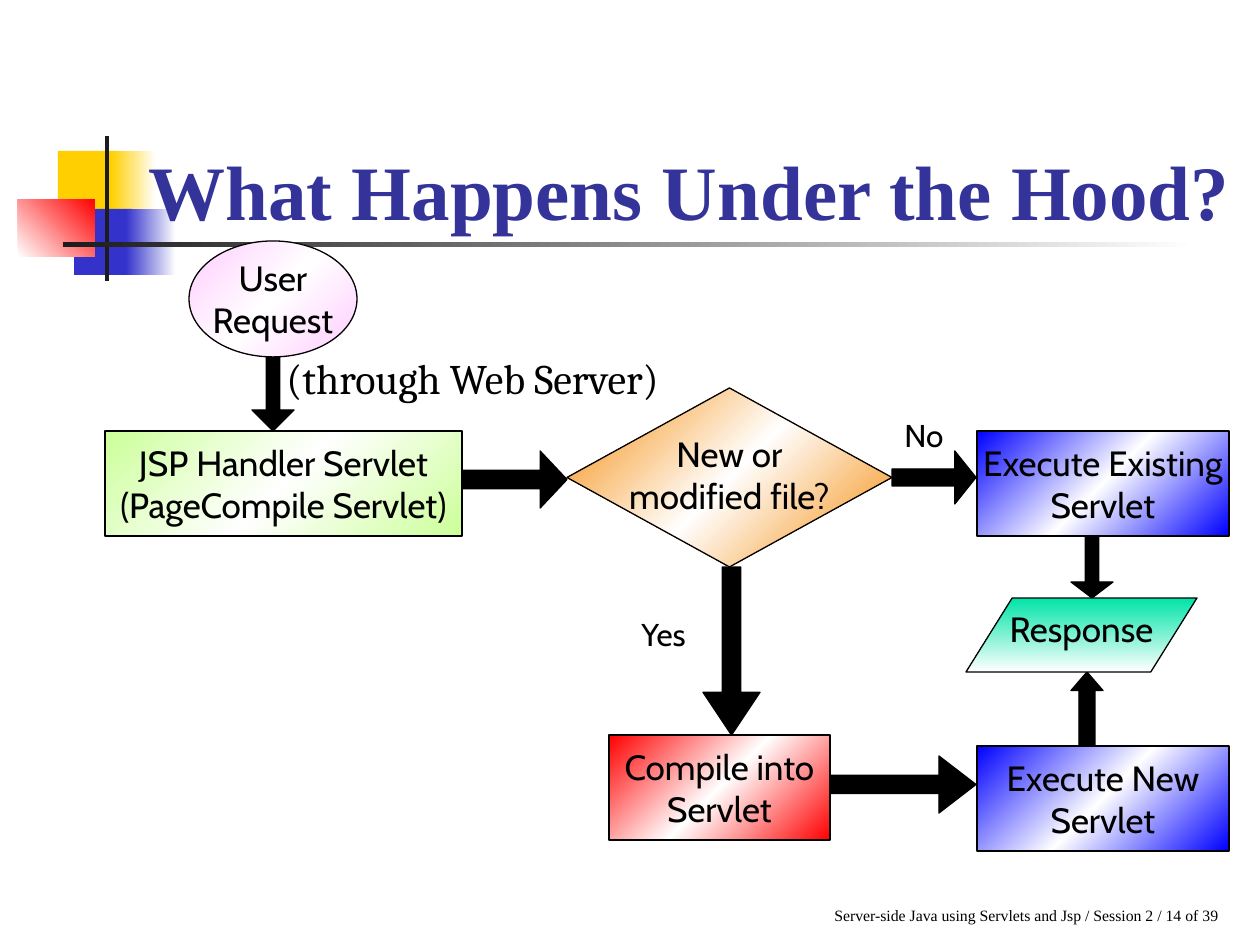
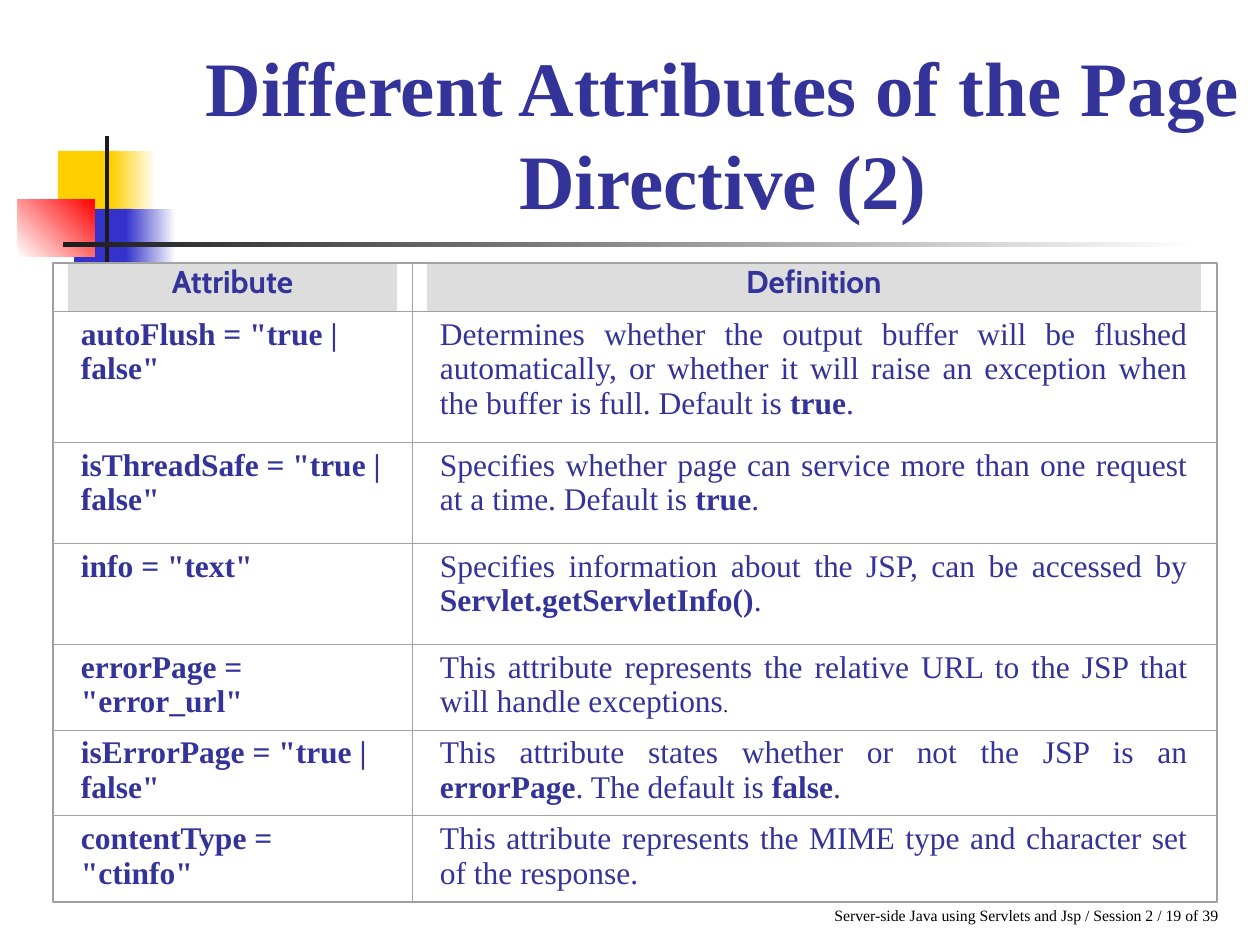
import dataclasses

import pptx
import pptx.dml.color
import pptx.enum.shapes
import pptx.enum.text
import pptx.oxml.ns
import pptx.util
from lxml import etree

SHAPE = pptx.enum.shapes.MSO_SHAPE
ALIGN = pptx.enum.text.PP_ALIGN
ANCHOR = pptx.enum.text.MSO_ANCHOR
PX_PER_INCH = 126
qn = pptx.oxml.ns.qn


@dataclasses.dataclass(frozen=True)
class TextStyle:
    font: str
    size: int
    color: str
    bold: bool = False


@dataclasses.dataclass(frozen=True)
class Theme:
    white: str = "FFFFFF"
    black: str = "000000"
    rule: str = "1C1C1C"
    yellow: str = "FFCF01"
    indigo: str = "3333CC"
    red: str = "FF0000"
    blue: str = "0000FF"
    pink: str = "FFCCFF"
    lime: str = "CCFF99"
    orange: str = "F58803"
    mint: str = "00E4A8"
    header_band: str = "DDDDDD"
    grid: str = "A0A0A0"
    outline_width: float = 0.75
    grid_width: float = 0.5
    frame_width: float = 1
    title: TextStyle = TextStyle("Times New Roman", 44, "333399", True)
    footer: TextStyle = TextStyle("Times New Roman", 9, "000000")
    node: TextStyle = TextStyle("Cabin", 20, "000000")
    branch: TextStyle = TextStyle("Cabin", 18, "000000")
    note: TextStyle = TextStyle("Cambria", 24, "000000")
    header: TextStyle = TextStyle("Cabin", 18, "333399", True)
    body: TextStyle = TextStyle("Times New Roman", 18, "333399")
    strong: TextStyle = TextStyle("Times New Roman", 18, "333399", True)
    small_stop: TextStyle = TextStyle("Times New Roman", 11, "000000")


THEME = Theme()


def px(length):
    return pptx.util.Emu(round(length * 914400 / PX_PER_INCH))


def rgb(color):
    return pptx.dml.color.RGBColor.from_string(color)


def add_runs(paragraph, runs, align=ALIGN.LEFT):
    paragraph.alignment = align
    for text, style in runs:
        run = paragraph.add_run()
        run.text = text
        run.font.name = style.font
        run.font.size = pptx.util.Pt(style.size)
        run.font.bold = style.bold
        run.font.color.rgb = rgb(style.color)


def fill_gradient(shape, colors, angle):
    """Spread the colours evenly along a clockwise angle in degrees."""
    shape.fill.gradient()
    shape.fill.gradient_angle = (360 - angle) % 360
    stops = shape.element.spPr.find(".//" + qn("a:gsLst"))
    for stop in list(stops):
        stops.remove(stop)
    for index, color in enumerate(colors):
        position = index * 100000 // (len(colors) - 1)
        stop = etree.SubElement(stops, qn("a:gs"), pos=str(position))
        etree.SubElement(stop, qn("a:srgbClr"), val=color)


def add_block(slide, kind, box, colors, angle=0, line=None, width=THEME.outline_width):
    """Add a preset shape; one colour fills it plainly, several as a gradient."""
    shape = slide.shapes.add_shape(kind, *map(px, box))
    shape.shadow.inherit = False
    if len(colors) == 1:
        shape.fill.solid()
        shape.fill.fore_color.rgb = rgb(colors[0])
    else:
        fill_gradient(shape, colors, angle)
    if line:
        shape.line.color.rgb = rgb(line)
        shape.line.width = pptx.util.Pt(width)
    else:
        shape.line.fill.background()
    return shape


def add_node(slide, kind, box, colors, lines, angle=45, top=6, bottom=6):
    """Add a flowchart step with centred lines of text."""
    shape = add_block(slide, kind, box, colors, angle, THEME.black)
    frame = shape.text_frame
    frame.word_wrap = False
    frame.vertical_anchor = ANCHOR.MIDDLE
    frame.margin_top, frame.margin_bottom = px(top), px(bottom)
    for index, line in enumerate(lines):
        paragraph = frame.add_paragraph() if index else frame.paragraphs[0]
        add_runs(paragraph, [(line, THEME.node)], ALIGN.CENTER)


def add_arrow(slide, kind, box, shaft, head):
    arrow = add_block(slide, kind, box, [THEME.black], line=THEME.black)
    arrow.adjustments[0], arrow.adjustments[1] = shaft, head


def add_label(slide, box, text, style):
    frame = slide.shapes.add_textbox(*map(px, box)).text_frame
    frame.word_wrap = True
    add_runs(frame.paragraphs[0], [(text, style)])


def add_titled_slide(presentation, title, title_box, align, number):
    """Add a slide with the corner ornament, the title and the footer."""
    slide = presentation.slides.add_slide(presentation.slide_layouts[5])
    ornament = [
        ((58, 151, 60, 66), [THEME.yellow], 0),
        ((111, 151, 45, 66), [THEME.yellow, THEME.white], 0),
        ((74, 209, 58, 66), [THEME.indigo], 0),
        ((126, 209, 50, 66), [THEME.indigo, THEME.white], 0),
        ((18, 199, 77, 58), [THEME.white, THEME.red], 315),
        ((105, 136, 4, 145), [THEME.rule], 0),
        ((63, 242, 1134, 5), [THEME.rule, THEME.white], 0),
    ]
    for box, colors, angle in ornament:
        add_block(slide, SHAPE.RECTANGLE, box, colors, angle)
    add_label(slide, (822, 900, 430, 32),
              f"Server-side Java using Servlets and Jsp / Session 2 / {number} of 39",
              THEME.footer)

    placeholder = slide.shapes.title
    placeholder.left, placeholder.top, placeholder.width, placeholder.height = map(px, title_box)
    frame = placeholder.text_frame
    frame.word_wrap = True
    frame.auto_size = pptx.enum.text.MSO_AUTO_SIZE.NONE
    frame.vertical_anchor = ANCHOR.BOTTOM
    add_runs(frame.paragraphs[0], [(title, THEME.title)], align)
    # Bring the title in front of the ornament.
    slide.shapes.element.append(placeholder.element)
    return slide


def build_flow_slide(presentation):
    slide = add_titled_slide(presentation, "What Happens Under the Hood?",
                             (136, 84, 1124, 158), ALIGN.LEFT, 14)

    def sheen(color):
        return [color, THEME.white, color]

    arrows = [
        (SHAPE.DOWN_ARROW, (252, 346, 42, 85), 0.32, 0.5),
        (SHAPE.RIGHT_ARROW, (462, 451, 105, 57), 0.32, 0.47),
        (SHAPE.RIGHT_ARROW, (892, 451, 84, 53), 0.32, 0.4),
        (SHAPE.DOWN_ARROW, (703, 567, 57, 168), 0.32, 0.75),
        (SHAPE.RIGHT_ARROW, (829, 756, 147, 57), 0.32, 0.65),
        (SHAPE.DOWN_ARROW, (1071, 535, 42, 63), 0.32, 0.38),
        (SHAPE.UP_ARROW, (1071, 672, 32, 74), 0.5, 0.58),
    ]
    for arrow in arrows:
        add_arrow(slide, *arrow)

    nodes = [
        (SHAPE.OVAL, (189, 241, 168, 116), THEME.pink, ["User", "Request"]),
        (SHAPE.RECTANGLE, (105, 431, 357, 105), THEME.lime,
         ["JSP Handler Servlet", "(PageCompile Servlet)"]),
        (SHAPE.RECTANGLE, (609, 735, 221, 105), THEME.red, ["Compile into", "Servlet"]),
        (SHAPE.RECTANGLE, (977, 431, 252, 105), THEME.blue, ["Execute Existing", "Servlet"]),
        (SHAPE.RECTANGLE, (977, 746, 252, 105), THEME.blue, ["Execute New", "Servlet"]),
    ]
    for kind, box, color, lines in nodes:
        add_node(slide, kind, box, sheen(color), lines)
    add_node(slide, SHAPE.DIAMOND, (567, 388, 325, 179), sheen(THEME.orange),
             ["New or", "modified file?"], top=0)
    add_node(slide, SHAPE.FLOWCHART_DATA, (966, 598, 231, 74), [THEME.mint, THEME.white],
             ["Response"], angle=90, top=0, bottom=14)

    add_label(slide, (274, 346, 462, 63), "(through Web Server)", THEME.note)
    add_label(slide, (629, 609, 84, 50), "Yes", THEME.branch)
    add_label(slide, (892, 410, 76, 50), "No", THEME.branch)


def set_borders(cell):
    properties = cell._tc.get_or_add_tcPr()
    for side in ("a:lnL", "a:lnR", "a:lnT", "a:lnB"):
        line = etree.SubElement(properties, qn(side), w=str(pptx.util.Pt(THEME.grid_width)))
        fill = etree.SubElement(line, qn("a:solidFill"))
        etree.SubElement(fill, qn("a:srgbClr"), val=THEME.grid)


def fill_cell(cell, runs, align, margins):
    """Margins are side and top, in px."""
    set_borders(cell)
    cell.fill.background()
    side, top = margins
    cell.margin_left = cell.margin_right = px(side)
    cell.margin_top, cell.margin_bottom = px(top), 0
    cell.vertical_anchor = ANCHOR.TOP
    add_runs(cell.text_frame.paragraphs[0], runs, align)


def add_attribute_table(slide, left, top, column_widths, row_heights, header, rows):
    band_inset = 15
    total_width, total_height = sum(column_widths), sum(row_heights)
    add_block(slide, SHAPE.RECTANGLE, (left, top, total_width + 1, total_height),
              [THEME.white], line=THEME.grid, width=THEME.frame_width)
    for index, width in enumerate(column_widths):
        band_left = left + sum(column_widths[:index]) + band_inset
        add_block(slide, SHAPE.RECTANGLE,
                  (band_left, top, width - 2 * band_inset, row_heights[0]), [THEME.header_band])

    table = slide.shapes.add_table(
        len(row_heights), len(column_widths),
        *map(px, (left, top, total_width, total_height))).table
    table.first_row = table.horz_banding = False
    for column, width in zip(table.columns, column_widths):
        column.width = px(width)
    for row, height in zip(table.rows, row_heights):
        row.height = px(height)

    for index, text in enumerate(header):
        fill_cell(table.cell(0, index), [(text, THEME.header)], ALIGN.CENTER, (band_inset, 0))
    for index, (attribute, definition) in enumerate(rows, start=1):
        fill_cell(table.cell(index, 0), [(attribute, THEME.strong)], ALIGN.LEFT, (28, 6))
        fill_cell(table.cell(index, 1), definition, ALIGN.JUSTIFY, (28, 6))


def build_attribute_slide(presentation):
    slide = add_titled_slide(presentation, "Different Attributes of the Page Directive (2)",
                             (186, 73, 1074, 158), ALIGN.CENTER, 19)
    body, strong = THEME.body, THEME.strong
    rows = [
        ('autoFlush = "true | false"', [
            ("Determines whether the output buffer will be flushed automatically, or whether "
             "it will raise an exception when the buffer is full. Default is ", body),
            ("true", strong), (".", body)]),
        ('isThreadSafe = "true | false"', [
            ("Specifies whether page can service more than one request at a time. "
             "Default is ", body),
            ("true", strong), (".", body)]),
        ('info = "text"', [
            ("Specifies information about the JSP, can be accessed by ", body),
            ("Servlet.getServletInfo()", strong), (".", body)]),
        ('errorPage = "error_url"', [
            ("This attribute represents the relative URL to the JSP that will handle "
             "exceptions", body),
            (".", THEME.small_stop)]),
        ('isErrorPage = "true | false"', [
            ("This attribute states whether or not the JSP is an ", body),
            ("errorPage", strong), (". The default is ", body),
            ("false", strong), (".", body)]),
        ('contentType = "ctinfo"', [
            ("This attribute represents the MIME type and character set of the response.",
             body)]),
    ]
    add_attribute_table(slide, 53, 263, [359, 804], [48, 131, 101, 101, 86, 86, 86],
                        ["Attribute", "Definition"], rows)


def main():
    presentation = pptx.Presentation()
    presentation.slide_width, presentation.slide_height = px(1260), px(945)
    build_flow_slide(presentation)
    build_attribute_slide(presentation)
    presentation.save("out.pptx")


if __name__ == "__main__":
    main()
